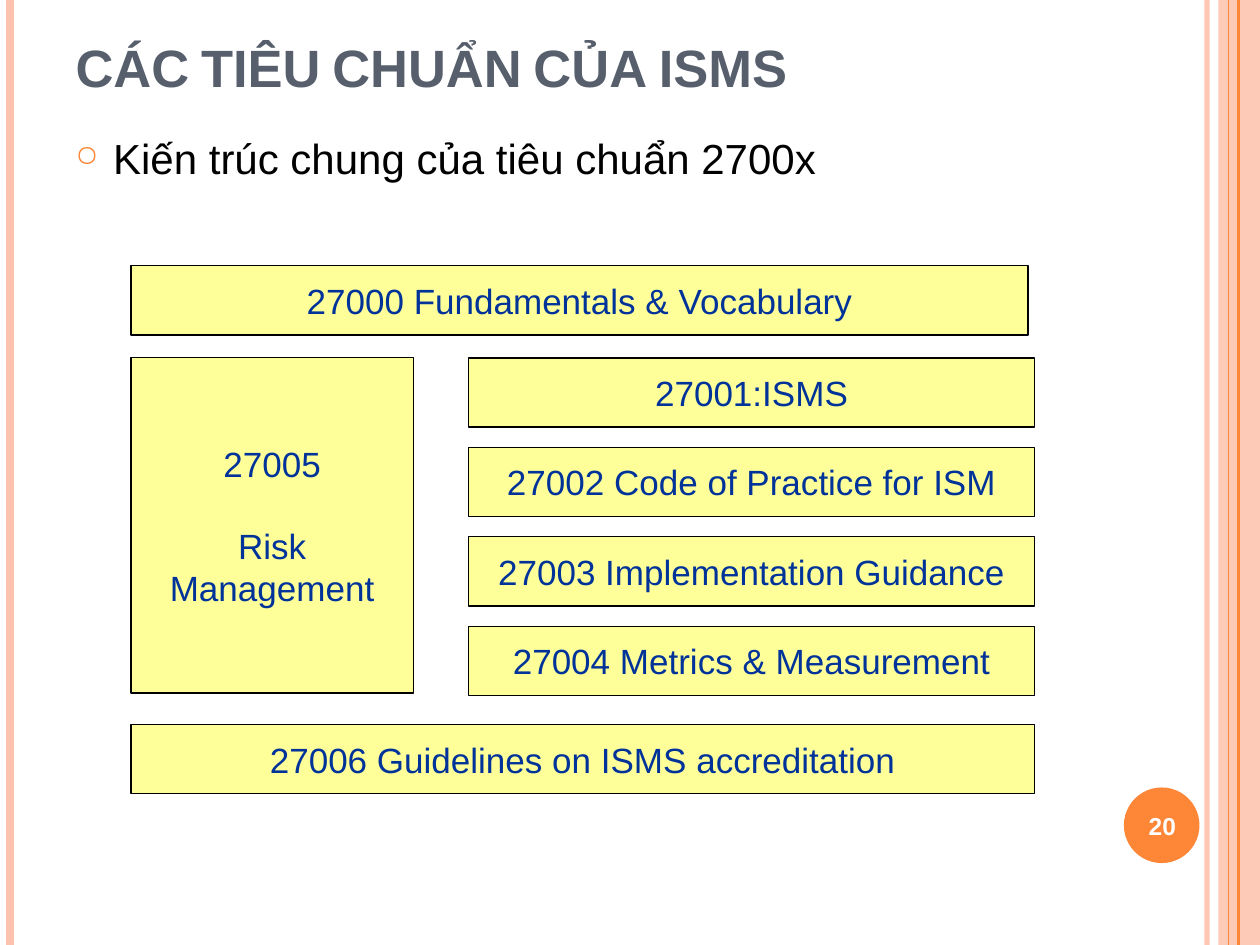
"""Build the slide on the structure of the 2700x family of ISMS standards."""
from dataclasses import dataclass
from typing import Any

import lxml.etree
import pptx
import pptx.dml.color
import pptx.enum.shapes
import pptx.enum.text
import pptx.oxml.ns
import pptx.util

Inches = pptx.util.Inches
Shapes = pptx.enum.shapes.MSO_SHAPE
Align = pptx.enum.text.PP_ALIGN
Anchor = pptx.enum.text.MSO_ANCHOR
qn = pptx.oxml.ns.qn

ORANGE, PEACH = "FE8637", "FEC3AE"
SLATE, BLACK, WHITE = "575F6D", "000000", "FFFFFF"
YELLOW, NAVY = "FFFF99", "003399"

BOX_LEFT, BOX_RIGHT, BOX_HEIGHT = 1.04, 8.21, 0.55
STACK_LEFT, STACK_TOP, STACK_STEP = 3.72, 2.84, 0.71


@dataclass
class Stripe:
    x: float
    color: str
    width: float
    opacity: int = 100


@dataclass
class Standard:
    left: float
    top: float
    width: float
    height: float
    lines: tuple[str, ...]


STRIPES = [
    Stripe(9.58, PEACH, 3, 93),
    Stripe(0.08, PEACH, 4.5),
    Stripe(9.83, ORANGE, 1.5),
    Stripe(9.75, ORANGE, 0.75),
]
STACK = [
    "27001:ISMS",
    "27002 Code of Practice for ISM",
    "27003 Implementation Guidance",
    "27004 Metrics & Measurement",
]
STANDARDS = [
    Standard(BOX_LEFT, 2.11, 7.12, BOX_HEIGHT, ("27000 Fundamentals & Vocabulary",)),
    Standard(BOX_LEFT, STACK_TOP, 2.24, 2.66, ("27005", "Risk", "Management")),
    *(
        Standard(STACK_LEFT, STACK_TOP + row * STACK_STEP, BOX_RIGHT - STACK_LEFT, BOX_HEIGHT, (name,))
        for row, name in enumerate(STACK)
    ),
    Standard(BOX_LEFT, 5.75, BOX_RIGHT - BOX_LEFT, BOX_HEIGHT, ("27006 Guidelines on ISMS accreditation",)),
]


def assign(target: Any, values: dict[str, Any]) -> None:
    for name, value in values.items():
        setattr(target, name, value)


def paint(target: Any, color: str, opacity: int = 100) -> None:
    target.solid()
    target.fore_color.rgb = pptx.dml.color.RGBColor.from_string(color)
    if opacity < 100:
        for node in target._xPr.iter(qn("a:srgbClr")):
            lxml.etree.SubElement(node, qn("a:alpha"), val=str(opacity * 1000))


def place(box: Any, left: float, top: float, width: float, height: float) -> None:
    assign(box, {"left": Inches(left), "top": Inches(top), "width": Inches(width), "height": Inches(height)})


def write(para: Any, text: str, size: float, color: str, align: Any = Align.CENTER, bold: bool = False) -> Any:
    para.alignment = align
    span = para.add_run()
    span.text = text
    assign(span.font, {"name": "Arial", "size": pptx.util.Pt(size), "bold": bold})
    paint(span.font.fill, color)
    return span


def add_stripe(page: Any, stripe: Stripe) -> None:
    line = page.shapes.add_connector(
        pptx.enum.shapes.MSO_CONNECTOR.STRAIGHT, Inches(stripe.x), 0, Inches(stripe.x), Inches(7.5)
    )
    line.line.width = pptx.util.Pt(stripe.width)
    paint(line.line.fill, stripe.color, stripe.opacity)
    lxml.etree.SubElement(line._element.spPr, qn("a:effectLst"))


def add_block(page: Any, kind: Any, at: tuple[float, ...], color: str, opacity: int = 100) -> Any:
    box = page.shapes.add_shape(kind, *map(Inches, at))
    box.shadow.inherit = False
    paint(box.fill, color, opacity)
    box.line.fill.background()
    return box


def add_standard(page: Any, item: Standard) -> None:
    box = add_block(page, Shapes.RECTANGLE, (item.left, item.top, item.width, item.height), YELLOW)
    paint(box.line.fill, BLACK)
    box.line.width = pptx.util.Pt(0.75)
    frame = box.text_frame
    assign(frame, {"word_wrap": False, "vertical_anchor": Anchor.MIDDLE})
    for index, text in enumerate(item.lines):
        para = frame.add_paragraph() if index else frame.paragraphs[0]
        write(para, text, 20, NAVY)
        if index == 1:
            para.space_before = pptx.util.Pt(23)


def add_title(page: Any, text: str) -> None:
    title = page.shapes.title
    place(title, 0.5, 0.3, 8.17, 0.53)
    frame = title.text_frame
    assign(frame, {"vertical_anchor": Anchor.BOTTOM, "auto_size": pptx.enum.text.MSO_AUTO_SIZE.NONE})
    span = write(frame.paragraphs[0], text, 30, SLATE, Align.LEFT, True)
    span.font._element.set("cap", "small")


def add_bullet(page: Any, text: str) -> None:
    box = page.shapes.add_textbox(*map(Inches, (0.5, 1, 7.33, 0.5)))
    box.text_frame.word_wrap = True
    para = box.text_frame.paragraphs[0]
    write(para, text, 24, BLACK, Align.LEFT)
    para.space_before = pptx.util.Pt(6)
    settings = para._p.get_or_add_pPr()
    settings.set("marL", str(Inches(0.3)))
    settings.set("indent", str(Inches(-0.3)))
    color = lxml.etree.SubElement(settings, qn("a:buClr"))
    lxml.etree.SubElement(color, qn("a:srgbClr"), val=ORANGE)
    lxml.etree.SubElement(settings, qn("a:buSzPct"), val="70000")
    lxml.etree.SubElement(settings, qn("a:buChar"), char="○")


def add_page_number(page: Any, number: str) -> None:
    add_block(page, Shapes.OVAL, (8.92, 6.25, 0.6, 0.6), ORANGE)
    box = page.shapes.add_textbox(*map(Inches, (8.89, 6.27, 0.67, 0.57)))
    assign(box.text_frame, {"word_wrap": True, "vertical_anchor": Anchor.MIDDLE})
    write(box.text_frame.paragraphs[0], number, 14, WHITE, bold=True)


def main() -> None:
    deck = pptx.Presentation()
    assign(deck, {"slide_width": Inches(10), "slide_height": Inches(7.5)})
    page = deck.slides.add_slide(deck.slide_layouts[5])
    add_block(page, Shapes.RECTANGLE, (9.67, 0, 0.33, 7.5), PEACH, 87)
    for stripe in STRIPES:
        add_stripe(page, stripe)
    add_title(page, "CÁC TIÊU CHUẨN CỦA ISMS")
    add_bullet(page, "Kiến trúc chung của tiêu chuẩn 2700x")
    for item in STANDARDS:
        add_standard(page, item)
    add_page_number(page, "20")
    deck.save("out.pptx")


if __name__ == "__main__":
    main()
